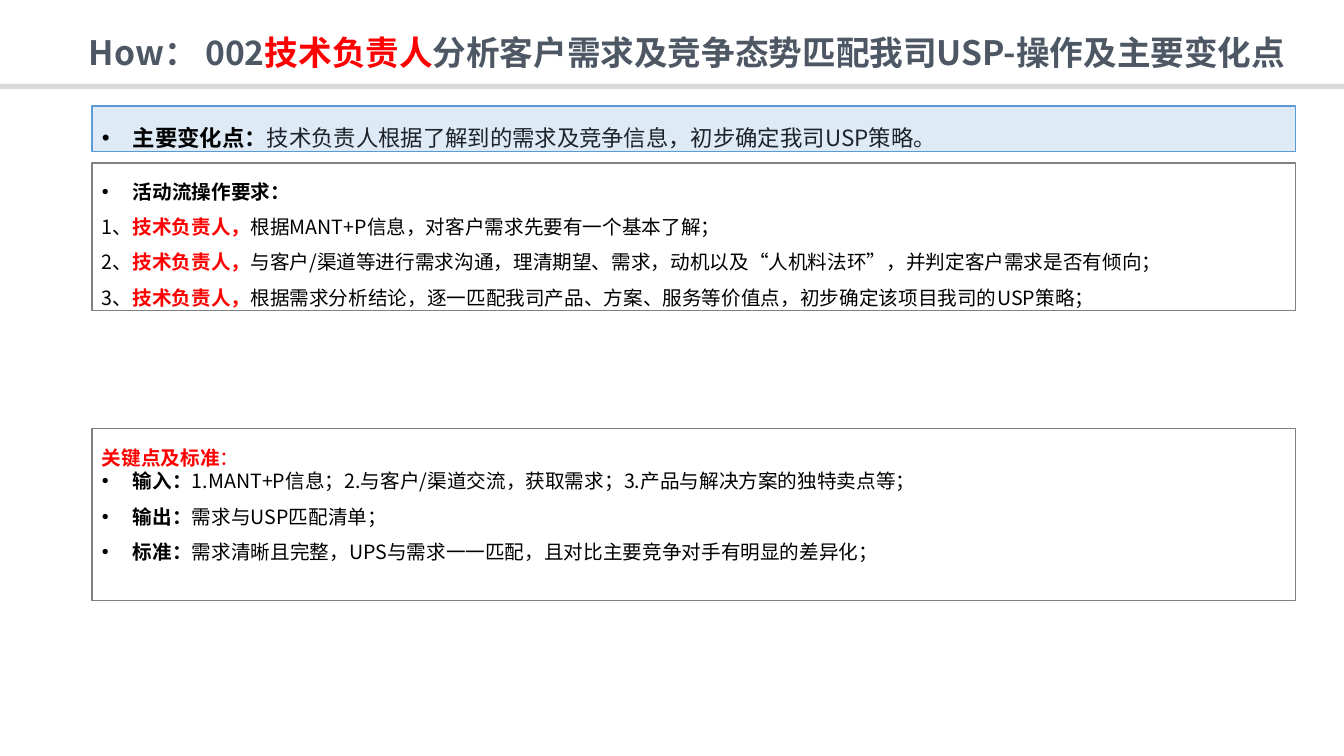
from lxml import etree
from pptx import Presentation
from pptx import util as u
from pptx.dml.color import RGBColor
from pptx.enum import shapes, text
from pptx.oxml.ns import qn

COLORS = {
    "black": "000000", "ink": "1F2329", "slate": "4E5865", "red": "FF0000",
    "band": "D9D9D9", "grey": "808080", "sky": "DEEBF7", "blue": "5B9BD5",
}
FONT = "Noto Sans CJK SC"
BOX_LEFT, BOX_WIDTH = 92, 1204
INDENT = 31


def px(length):
    return u.Emu(round(length * 914400 / 100.8))


def rgb(name):
    return RGBColor.from_string(COLORS[name])


class SlideBuilder:
    def __init__(self, presentation):
        self.slide = presentation.slides.add_slide(presentation.slide_layouts[6])

    def rectangle(self, left, top, width, height, fill=None, line=None):
        shape = self.slide.shapes.add_shape(
            shapes.MSO_SHAPE.RECTANGLE, px(left), px(top), px(width), px(height))
        shape.shadow.inherit = False
        if fill:
            shape.fill.solid()
            shape.fill.fore_color.rgb = rgb(fill)
        else:
            shape.fill.background()
        if line:
            shape.line.color.rgb = rgb(line)
            shape.line.width = u.Pt(0.75)
        else:
            shape.line.fill.background()
        return shape

    def paragraph(self, paragraph, runs, size, spacing, bullet=False):
        """Fill a paragraph from (words, colour, bold) runs."""
        paragraph.alignment = text.PP_ALIGN.LEFT
        paragraph.line_spacing = spacing
        if bullet:
            properties = paragraph._p.get_or_add_pPr()
            properties.set("marL", str(px(INDENT)))
            properties.set("indent", str(-px(INDENT)))
            etree.SubElement(properties, qn("a:buFont"), typeface="Arial")
            etree.SubElement(properties, qn("a:buChar"), char="•")
        paragraph.font.size = u.Pt(size)
        paragraph.font.name = FONT
        etree.SubElement(paragraph.font._element, qn("a:ea"), typeface=FONT)
        for words, color, bold in runs:
            run = paragraph.add_run()
            run.text = words
            run.font.bold = bold
            run.font.color.rgb = rgb(color)

    def title(self, left, top, width, height, runs):
        shape = self.slide.shapes.add_textbox(px(left), px(top), px(width), px(height))
        frame = shape.text_frame
        frame.word_wrap = True
        frame.margin_right = 0
        frame.vertical_anchor = text.MSO_ANCHOR.MIDDLE
        self.paragraph(frame.paragraphs[0], runs, 24, 0.9)

    def panel(self, top, height, paragraphs, size=14, fill=None, line="grey"):
        """Draw a framed box holding (runs, spacing, bullet) paragraphs."""
        frame = self.rectangle(BOX_LEFT, top, BOX_WIDTH, height, fill, line).text_frame
        frame.word_wrap = True
        frame.vertical_anchor = text.MSO_ANCHOR.TOP
        for index, (runs, spacing, bullet) in enumerate(paragraphs):
            paragraph = frame.add_paragraph() if index else frame.paragraphs[0]
            self.paragraph(paragraph, runs, size, spacing, bullet)


def labelled(label, words, color="black"):
    return [(label, "black", True), (words, color, False)]


def main():
    presentation = Presentation()
    presentation.slide_width, presentation.slide_height = px(1344), px(756)
    builder = SlideBuilder(presentation)

    builder.rectangle(0, 84, 1344, 5, fill="band")
    builder.title(79, 31, 1265, 47, [
        ("How： 002", "slate", True),
        ("技术负责人", "red", True),
        ("分析客户需求及竞争态势匹配我司USP-操作及主要变化点", "slate", True),
    ])

    change = labelled("主要变化点：", "技术负责人根据了解到的需求及竞争信息，初步确定我司USP策略。", "ink")
    builder.panel(106, 46, [(change, 1.5, True)], size=16, fill="sky", line="blue")

    steps = [
        "根据MANT+P信息，对客户需求先要有一个基本了解；",
        "与客户/渠道等进行需求沟通，理清期望、需求，动机以及“人机料法环”，并判定客户需求是否有倾向；",
        "根据需求分析结论，逐一匹配我司产品、方案、服务等价值点，初步确定该项目我司的USP策略；",
    ]
    activities = [([("活动流操作要求：", "black", True)], 1.5, True)]
    for number, step in enumerate(steps, 1):
        runs = [(f"{number}、", "black", False), ("技术负责人，", "red", True),
                (step, "black", False)]
        activities.append((runs, 1.5, False))
    builder.panel(163, 148, activities)

    builder.panel(429, 172, [
        ([("关键点及标准", "red", True), ("：", "red", False)], 1.5, False),
        (labelled("输入：", "1.MANT+P信息；2.与客户/渠道交流，获取需求；3.产品与解决方案的独特卖点等；"), 1.0, True),
        (labelled("输出：", "需求与USP匹配清单；"), 1.5, True),
        (labelled("标准：", "需求清晰且完整，UPS与需求一一匹配，且对比主要竞争对手有明显的差异化；"), 1.5, True),
    ])
    presentation.save("out.pptx")


if __name__ == "__main__":
    main()
